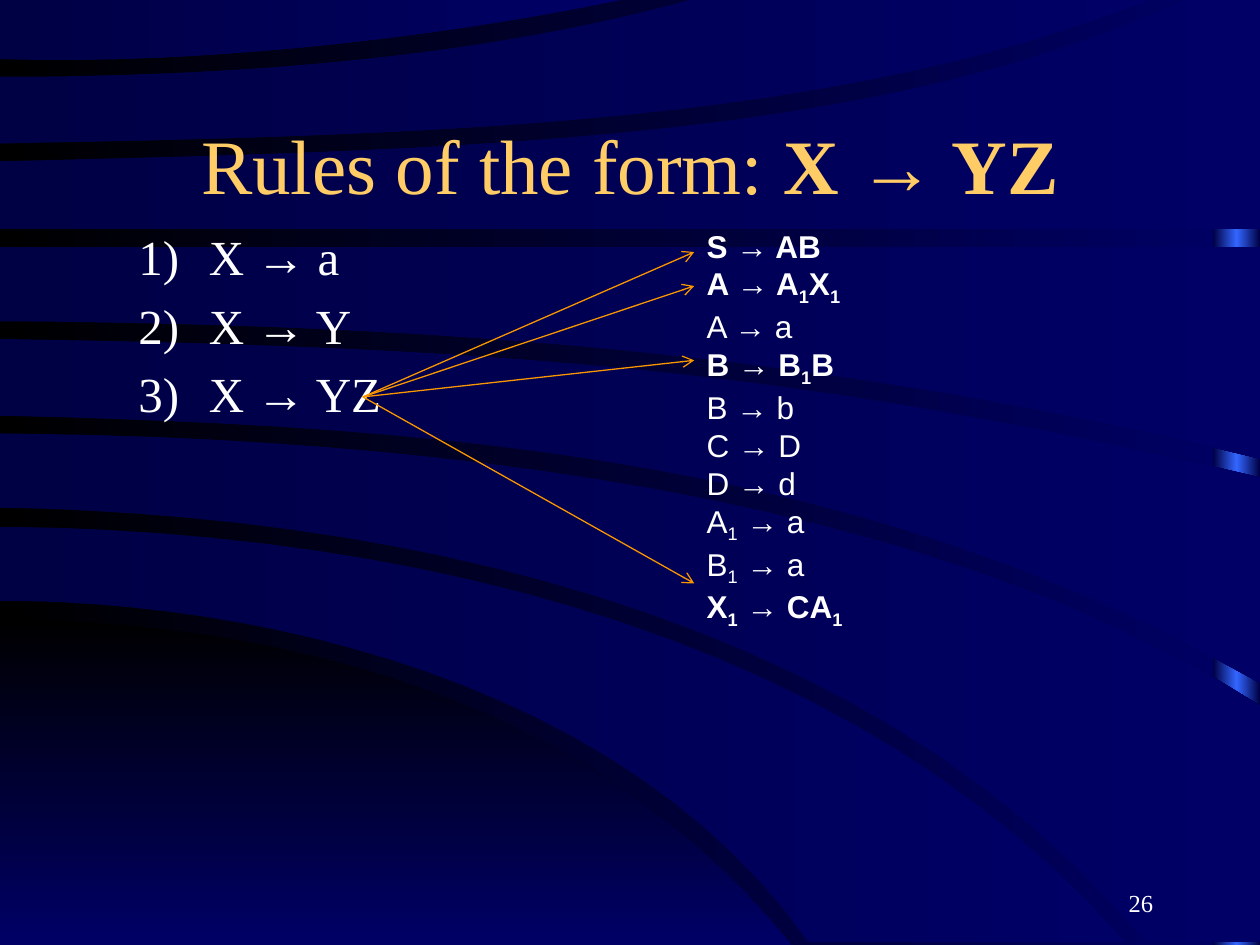
from copy import deepcopy
from itertools import groupby
from math import prod

from pptx import Presentation
from pptx.dml.color import RGBColor
from pptx.enum.shapes import MSO_CONNECTOR, MSO_SHAPE
from pptx.enum.text import MSO_ANCHOR, PP_ALIGN
from pptx.oxml.ns import qn
from pptx.util import Inches, Pt
from lxml.etree import SubElement

BLACK = RGBColor(0x00, 0x00, 0x00)
NAVY = RGBColor(0x00, 0x00, 0x66)
DARK_NAVY = RGBColor(0x00, 0x00, 0x44)
BRIGHT_BLUE = RGBColor(0x33, 0x66, 0xFF)
GOLD = RGBColor(0xFF, 0xCC, 0x66)
ORANGE = RGBColor(0xF9, 0x96, 0x00)
WHITE = RGBColor(0xFF, 0xFF, 0xFF)
SERIF = "Times New Roman"
SANS = "Arial"
COLUMNS, ROWS = 10, 7.5
CURVE_STEPS = 24

CORNER = ([(0, 4.91), (2.49, 5.21), (4.62, 6.06), (6.28, 7.5)], [(0, 7.5)])
BANDS = [
    ([(0, 4.18), (3.35, 4.52), (6.44, 5.57), (8.93, 7.48)],
     [(0, 4.77), (2.21, 5), (4.54, 5.84), (6.42, 7.48)]),
    ([(0, 3.44), (3.43, 3.63), (6.93, 4.28), (10, 5.6)], [(10, 7.48)],
     [(0, 4.03), (3.11, 4.33), (6.36, 5.37), (9.09, 7.48)]),
    ([(0, 2.69), (3.49, 2.81), (6.62, 3.13), (10, 3.79)],
     [(0, 3.3), (3.51, 3.49), (6.83, 4.1), (10, 5.42)]),
    ([(0, 1.96)], [(10, 1.96)], [(0, 2.55), (3.32, 2.65), (6.62, 2.98), (10, 3.64)]),
    ([(0, 1.28), (3.72, 1.15), (6.84, 0.79), (9.43, -0.02)], [(10, -0.02)],
     [(0, 1.82), (10, 1.82)]),
    ([(0, 0.61), (1.97, 0.55), (3.83, 0.35), (5.56, -0.02)],
     [(0, 1.14), (3.41, 1.03), (6.48, 0.71), (9.17, -0.02)]),
    ([(0, -0.02)], [(0, 0.47), (1.73, 0.43), (3.46, 0.25), (5.01, -0.02)]),
]
RULE_FORMS = ["X → a", "X → Y", "X → YZ"]
GRAMMAR = ["S → AB", "A → A1X1", "A → a", "B → B1B", "B → b",
           "C → D", "D → d", "A1 → a", "B1 → a", "X1 → CA1"]
ARROW_START = (2.88, 3.15)
ARROW_END_COLUMN = 5.51
ARROW_END_ROWS = [2, 2.27, 2.86, 4.63]


def smooth_curve(knots):
    if len(knots) < 3:
        return knots
    indexes = range(len(knots))
    curve = []
    for step in range(CURVE_STEPS + 1):
        position = step * (len(knots) - 1) / CURVE_STEPS
        weights = [prod((position - j) / (i - j) for j in indexes if j != i) for i in indexes]
        curve.append(tuple(sum(w * value for w, value in zip(weights, axis))
                           for axis in zip(*knots)))
    return curve


class SlideBuilder:
    def __init__(self, presentation):
        self.slide = presentation.slides.add_slide(presentation.slide_layouts[6])
        self.shapes = self.slide.shapes
        self.column = presentation.slide_width / COLUMNS
        self.row = presentation.slide_height / ROWS

    def place(self, column, row):
        return round(column * self.column), round(row * self.row)

    def gradient(self, fill, colors, angle=0):
        fill.gradient()
        fill.gradient_angle = angle
        for stop, color in zip(fill.gradient_stops, colors):
            stop.color.rgb = color

    def background(self, *colors):
        self.gradient(self.slide.background.fill, colors)

    def side_bar(self, left, top, width, height, edge, middle):
        bar = self.shapes.add_shape(
            MSO_SHAPE.RECTANGLE, *self.place(left, top), *self.place(width, height))
        bar.shadow.inherit = False
        bar.line.fill.background()
        self.gradient(bar.fill, (edge, middle))
        stops = bar.element.spPr.find(".//" + qn("a:gsLst"))
        last_stop = deepcopy(stops[0])
        last_stop.set("pos", "100000")
        stops[1].set("pos", "50000")
        stops.append(last_stop)

    def band(self, edges, colors, angle=0):
        *outward, inner = edges
        outline = [point for edge in outward for point in smooth_curve(edge)]
        outline += reversed(smooth_curve(inner))
        start, *others = [self.place(*point) for point in outline]
        builder = self.shapes.build_freeform(*start)
        builder.add_line_segments(others, close=True)
        shape = builder.convert_to_shape()
        shape.shadow.inherit = False
        shape.line.fill.background()
        self.gradient(shape.fill, colors, angle)

    def text_box(self, left, top, width, height, anchor=MSO_ANCHOR.TOP, wrap=True):
        box = self.shapes.add_textbox(*self.place(left, top), *self.place(width, height))
        box.text_frame.word_wrap = wrap
        box.text_frame.vertical_anchor = anchor
        return box.text_frame

    def paragraph(self, frame, index, size, font, color, align=PP_ALIGN.LEFT, numbered=False):
        paragraph = frame.add_paragraph() if index else frame.paragraphs[0]
        paragraph.alignment = align
        if numbered:
            properties = paragraph._p.get_or_add_pPr()
            properties.set("marL", str(Inches(1.06)))
            properties.set("indent", str(Inches(-0.56)))
            SubElement(properties, qn("a:buAutoNum"), type="arabicParenR")
        paragraph.font.size = Pt(size)
        paragraph.font.name = font
        paragraph.font.color.rgb = color
        return paragraph

    def rule(self, paragraph, text, bold=None):
        for (is_arrow, is_digit), letters in groupby(text, lambda c: (c == "→", c.isdigit())):
            run = paragraph.add_run()
            run.text = "".join(letters)
            if bold is not None:
                run.font.bold = bold
            if is_arrow:
                run.font.name = SANS
            if is_digit:
                run.font._element.set("baseline", "-25000")

    def title(self, plain, rule):
        frame = self.text_box(0.75, 0.67, 8.5, 1.25, MSO_ANCHOR.MIDDLE)
        paragraph = self.paragraph(frame, 0, 44, SERIF, GOLD, PP_ALIGN.CENTER)
        paragraph.add_run().text = plain
        self.rule(paragraph, rule, bold=True)

    def numbered_rules(self, rules):
        frame = self.text_box(0.5, 1.75, 2.73, 1.96)
        for index, text in enumerate(rules):
            paragraph = self.paragraph(frame, index, 28, SERIF, WHITE, numbered=True)
            if index:
                paragraph.space_before = Pt(5.6)
            self.rule(paragraph, text)

    def grammar(self, rules):
        frame = self.text_box(5.51, 1.75, 1.31, 3.13, wrap=False)
        for index, text in enumerate(rules):
            paragraph = self.paragraph(frame, index, 18, SANS, WHITE)
            produced = text.partition("→")[2]
            paragraph.font.bold = sum(c.isupper() for c in produced) == 2
            self.rule(paragraph, text)

    def page_number(self, number):
        frame = self.text_box(7.17, 6.83, 2.08, 0.5, MSO_ANCHOR.BOTTOM)
        self.paragraph(frame, 0, 14, SERIF, WHITE, PP_ALIGN.RIGHT).add_run().text = number

    def arrow(self, start, end):
        connector = self.shapes.add_connector(
            MSO_CONNECTOR.STRAIGHT, *self.place(*start), *self.place(*end))
        connector.line.color.rgb = ORANGE
        connector.line.width = Pt(0.75)
        SubElement(connector.line._get_or_add_ln(), qn("a:tailEnd"), type="arrow")
        SubElement(connector._element.spPr, qn("a:effectLst"))


def main():
    presentation = Presentation()
    presentation.slide_width = Inches(COLUMNS)
    presentation.slide_height = Inches(ROWS)
    builder = SlideBuilder(presentation)
    builder.background(BLACK, NAVY)
    builder.side_bar(9.63, 0, 0.37, 7.5, DARK_NAVY, BRIGHT_BLUE)
    builder.band(CORNER, (BLACK, NAVY), angle=270)
    for edges in BANDS:
        builder.band(edges, (DARK_NAVY, NAVY))
    builder.title("Rules of the form: ", "X → YZ")
    builder.numbered_rules(RULE_FORMS)
    builder.page_number("26")
    builder.grammar(GRAMMAR)
    for row in ARROW_END_ROWS:
        builder.arrow(ARROW_START, (ARROW_END_COLUMN, row))
    presentation.save("out.pptx")


if __name__ == "__main__":
    main()
